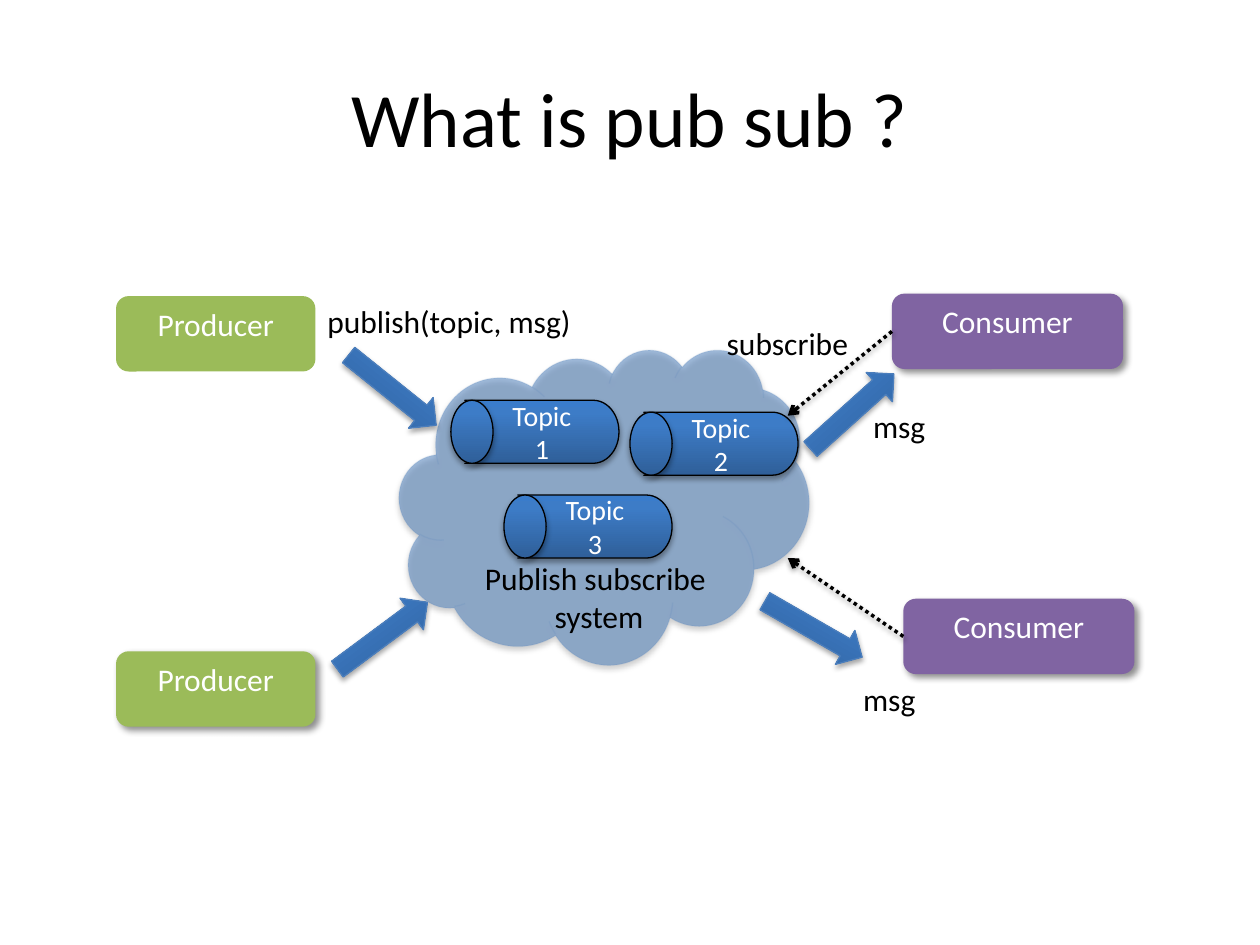
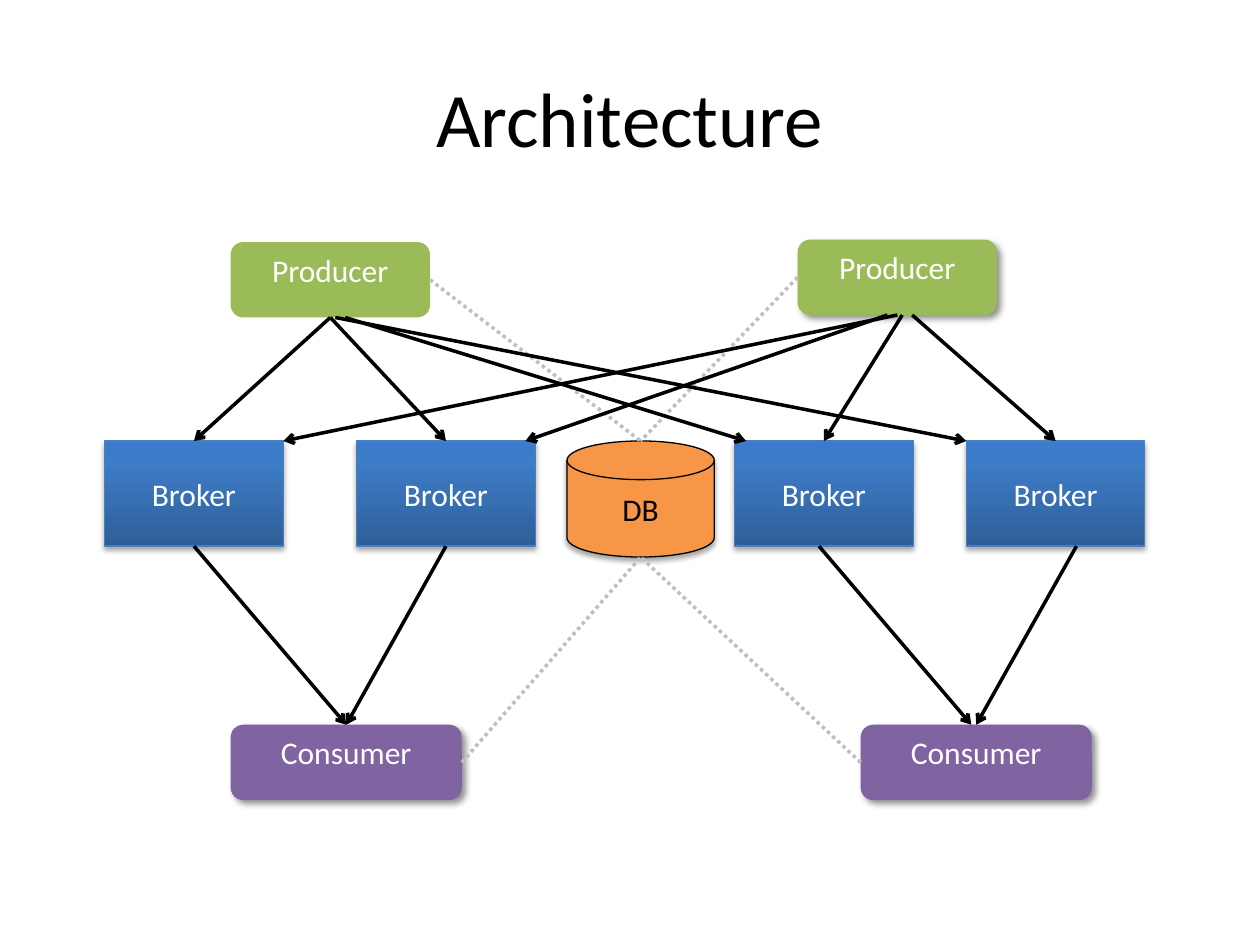
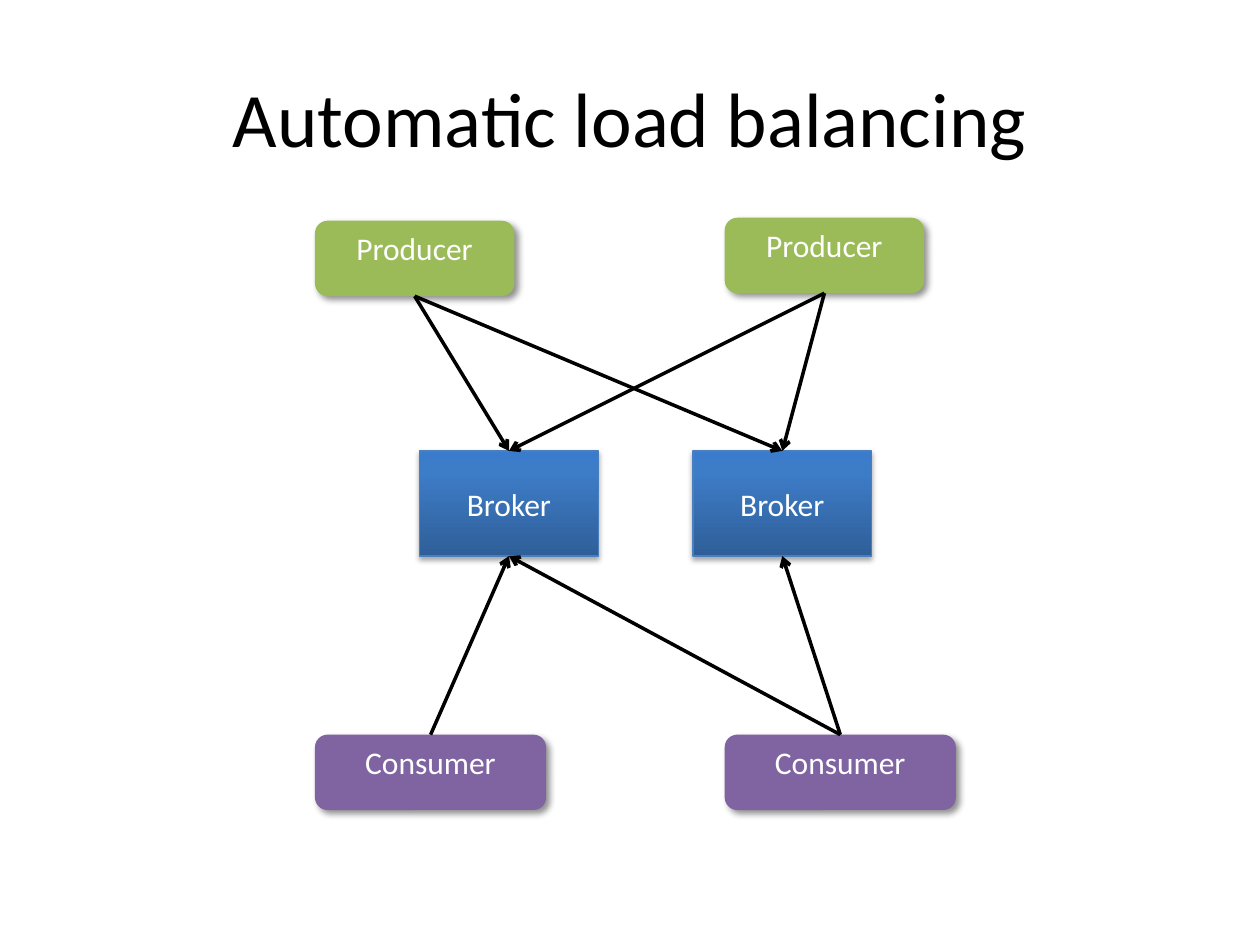
from copy import deepcopy

from pptx import Presentation
from pptx import util as u
from pptx.dml import color
from pptx.enum import dml, shapes, text
from pptx.oxml import ns, parse_xml

Cm, Pt = u.Cm, u.Pt
KIND = shapes.MSO_SHAPE
FONT = "Calibri"
HUES = {
    "ink": "000000", "paper": "FFFFFF", "green": "9BBB59",
    "violet": "8064A2", "orange": "F79646", "grey": "BFBFBF",
    "cloud": "4F81BD", "edge": "4B7EBC",
}
BLUES = [(0, "2F5F99"), (0.8, "3D7CC7"), (1, "3A7CCB")]
SOFT = (35, 3.1, 1.8, 90)
DEEP = (43, 4, 3, 45)
FAINT = (38, 3.1, 1.6, 90)
ROLES = {"Producer": ("green", 4.02), "Consumer": ("violet", 4.66)}


def rgb(name):
    return color.RGBColor.from_string(HUES[name])


def node(tag, attrs="", inner=""):
    return parse_xml(f"<a:{tag} {ns.nsdecls('a')} {attrs}>{inner}</a:{tag}>")


def shade(item, cast=None):
    props = item._element.spPr
    if props.find(ns.qn("a:effectLst")) is None:
        props.append(node("effectLst"))
    if cast:
        alpha, blur, dist, angle = cast
        props.find(ns.qn("a:effectLst")).append(node(
            "outerShdw",
            f'blurRad="{Pt(blur)}" dist="{Pt(dist)}" '
            f'dir="{angle * 60000}" rotWithShape="0"',
            f'<a:srgbClr val="{HUES["ink"]}">'
            f'<a:alpha val="{alpha * 1000}"/></a:srgbClr>'))


def fade(part, alpha):
    part.find(".//" + ns.qn("a:srgbClr")).append(
        node("alpha", f'val="{alpha * 1000}"'))


def blend(item):
    item.fill.gradient()
    item.fill.gradient_angle = 90
    stops = item._element.spPr.find(".//" + ns.qn("a:gsLst"))
    stops.append(deepcopy(stops[-1]))
    for stop, (pos, tone) in zip(item.fill.gradient_stops, BLUES):
        stop.position = pos
        stop.color.rgb = color.RGBColor.from_string(tone)


def write(frame, words, size=18, hue="ink", align=text.PP_ALIGN.CENTER):
    frame.text = words
    for para in frame.paragraphs:
        para.alignment = align
        para.font.size = Pt(size)
        para.font.name = FONT
        para.font.color.rgb = rgb(hue)


def shape(home, kind, left, top, wide, high, fill=None, edge=None, cast=SOFT):
    item = home.shapes.add_shape(kind, Cm(left), Cm(top), Cm(wide), Cm(high))
    if fill:
        item.fill.solid()
        item.fill.fore_color.rgb = rgb(fill)
    else:
        blend(item)
    if edge:
        item.line.color.rgb = rgb(edge)
        item.line.width = Pt(0.75)
    else:
        item.line.fill.background()
    item.shadow.inherit = False
    shade(item, cast)
    return item


def role(slide, name, left, top, cast=DEEP):
    hue, wide = ROLES[name]
    item = shape(slide, KIND.ROUNDED_RECTANGLE, left, top, wide, 1.52,
                 hue, cast=cast)
    frame = item.text_frame
    frame.margin_left = frame.margin_right = Cm(0.18)
    frame.margin_top = frame.margin_bottom = Cm(0.1)
    frame.vertical_anchor = text.MSO_ANCHOR.TOP
    write(frame, name, hue="paper")
    return item


def broker(slide, left, top):
    item = shape(slide, KIND.RECTANGLE, left, top, 3.6, 2.12, edge="edge")
    write(item.text_frame, "Broker", hue="paper")
    return item


def topic(slide, name, left, top):
    group = slide.shapes.add_group_shape()
    tube = shape(group, KIND.FLOWCHART_STORED_DATA, left + 0.28, top,
                 3.11, 1.27, edge="ink")
    tube._element.spPr.xfrm.set("flipH", "1")
    write(tube.text_frame, name, 16, "paper")
    shape(group, KIND.OVAL, left, top, 0.85, 1.27, edge="ink")


def arrow(slide, left, top, turn):
    item = shape(slide, KIND.RIGHT_ARROW, left, top, 2.26, 0.79, edge="edge")
    item.rotation = turn


def label(slide, words, left, top, wide, high=1.02,
          align=text.PP_ALIGN.LEFT):
    box = slide.shapes.add_textbox(Cm(left), Cm(top), Cm(wide), Cm(high))
    box.text_frame.word_wrap = True
    box.text_frame.auto_size = text.MSO_AUTO_SIZE.SHAPE_TO_FIT_TEXT
    write(box.text_frame, words, align=align)


def spot(item, across, down, shift=0):
    return (item.left + int(item.width * across) + Cm(shift),
            item.top + int(item.height * down))


def head(item, shift=0):
    return spot(item, 0.5, 0, shift)


def foot(item, shift=0):
    return spot(item, 0.5, 1, shift)


def link(slide, start, end, hue="ink", dots=False, tip=True, cast=None):
    wire = slide.shapes.add_connector(
        shapes.MSO_CONNECTOR.STRAIGHT, *start, *end)
    wire.line.color.rgb = rgb(hue)
    wire.line.width = Pt(2)
    if dots:
        wire.line.dash_style = dml.MSO_LINE.ROUND_DOT
    if tip:
        wire.line._get_or_add_ln().append(node("tailEnd", 'type="arrow"'))
    shade(wire, cast)


def page(deck, name):
    slide = deck.slides.add_slide(deck.slide_layouts[5])
    title = slide.shapes.title
    title.left, title.top = Cm(1.27), Cm(0.76)
    title.width, title.height = Cm(22.86), Cm(3.18)
    title.text_frame.vertical_anchor = text.MSO_ANCHOR.MIDDLE
    write(title.text_frame, name, 44)
    return slide


def pubsub(deck):
    slide = page(deck, "What is pub sub ?")
    role(slide, "Producer", 2.34, 5.97, None)
    role(slide, "Producer", 2.34, 13.13)
    users = [role(slide, "Consumer", 17.98, 5.92),
             role(slide, "Consumer", 18.21, 12.07)]

    cloud = shape(slide, KIND.CLOUD, 8.05, 7.04, 8.26, 6.35, "cloud", "edge")
    props = cloud._element.spPr
    fade(props.find(ns.qn("a:solidFill")), 53)
    fade(props.find(ns.qn("a:ln")), 13)

    spots = [(9.09, 8.07), (12.7, 8.31), (10.16, 9.98)]
    for num, place in enumerate(spots, 1):
        topic(slide, f"Topic {num}", *place)
    for place in [(6.78, 7.47, 38.7), (6.58, 12.42, 323.4),
                  (16.05, 7.9, 318), (15.27, 12.29, 29.9)]:
        arrow(slide, *place)
    for user, top in zip(users, (8.38, 11.25)):
        link(slide, spot(user, 0, 0.5), (Cm(15.88), Cm(top)),
             dots=True, cast=FAINT)

    label(slide, "subscribe", 14.4, 6.4, 3.38)
    label(slide, "publish(topic, msg)", 6.35, 5.97, 5.92)
    label(slide, "Publish subscribe \nsystem", 9.32, 11.15, 5.51, 1.8,
          text.PP_ALIGN.CENTER)
    label(slide, "msg", 17.35, 8.08, 2.11)
    label(slide, "msg", 17.15, 13.59, 2.11)


def layers(deck):
    slide = page(deck, "Architecture")
    west = role(slide, "Producer", 4.65, 4.88, None)
    east = role(slide, "Producer", 16.08, 4.83)
    users = [role(slide, "Consumer", left, 14.61) for left in (4.65, 17.35)]
    hubs = [broker(slide, left, 8.89) for left in (2.11, 7.19, 14.81, 19.48)]
    disk = shape(slide, KIND.FLOWCHART_MAGNETIC_DISK, 11.43, 8.89, 2.97, 2.34,
                 "orange", "ink")
    write(disk.text_frame, "DB")

    for item, side, end in [(west, 1, head), (east, 0, head),
                            (users[0], 1, foot), (users[1], 0, foot)]:
        link(slide, spot(item, side, 0.5), end(disk), "grey", True, False)

    feeds = [(west, 0, 0, 0), (west, 0, 1, 0),
             (west, 0.3, 2, -1.57), (west, 0.1, 3, -1.8),
             (east, 0, 0, 1.8), (east, -0.2, 1, 1.6),
             (east, 0.1, 2, 0), (east, 0.3, 3, 0)]
    for maker, out, hub, into in feeds:
        link(slide, foot(maker, out), head(hubs[hub], into))

    drains = [(0, 0, 0, 0), (1, 0, 0, 0), (2, -0.1, 1, -0.1), (3, 0.42, 1, 0)]
    for hub, out, user, into in drains:
        link(slide, foot(hubs[hub], out), head(users[user], into))


def balance(deck):
    slide = page(deck, "Automatic load balancing")
    makers = [role(slide, "Producer", 6.35, 4.45),
              role(slide, "Producer", 14.61, 4.39)]
    users = [role(slide, "Consumer", left, 14.81) for left in (6.35, 14.61)]
    hubs = [broker(slide, left, 9.09) for left in (8.46, 13.97)]
    for maker in makers:
        for hub in hubs:
            link(slide, foot(maker), head(hub))
    for user, hub in [(0, 0), (1, 0), (1, 1)]:
        link(slide, head(users[user]), foot(hubs[hub]))


def main():
    deck = Presentation()
    deck.slide_width, deck.slide_height = Cm(25.4), Cm(19.05)
    pubsub(deck)
    layers(deck)
    balance(deck)
    deck.save("out.pptx")


main()
